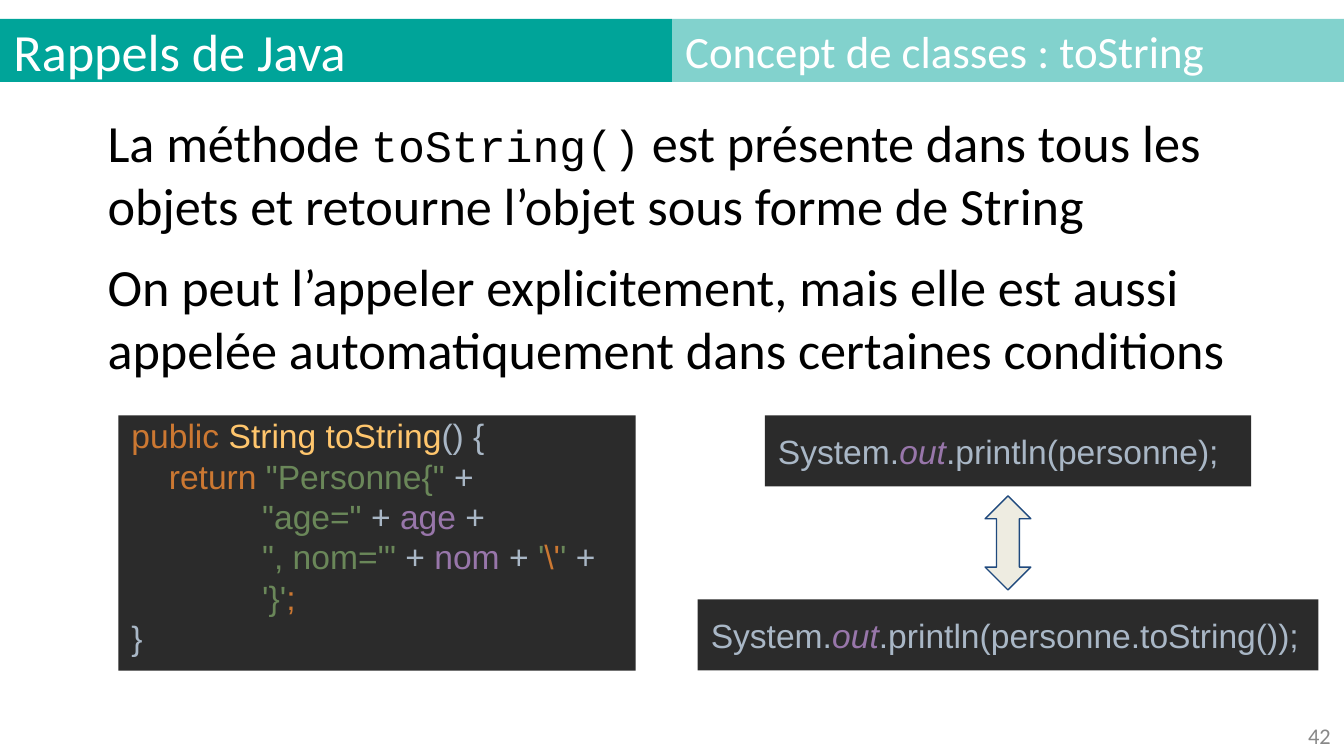
from lxml import etree
from pptx import Presentation
from pptx.dml.color import RGBColor
from pptx.enum.shapes import MSO_SHAPE as Shape
from pptx.enum.text import MSO_ANCHOR as Anchor, MSO_AUTO_SIZE as AutoSize, PP_ALIGN as Align
from pptx.oxml.ns import qn
from pptx.util import Inches, Pt

WIDTH = 10
HEIGHT = WIDTH * 9 / 16
HALF = WIDTH / 2
BAR_TOP, BAR_HEIGHT = 0.14, 0.47
CODE_TOP, CODE_HEIGHT, CALL_HEIGHT = 3.09, 1.9, 0.53
CALL_CENTER = 7.5

TEAL = RGBColor(0x00, 0xA4, 0x99)
WHITE = RGBColor(0xFF, 0xFF, 0xFF)
BLACK = RGBColor(0x00, 0x00, 0x00)
GREY = RGBColor(0x88, 0x88, 0x88)
CREAM = RGBColor(0xEE, 0xEC, 0xE1)
NAVY = RGBColor(0x1F, 0x49, 0x7D)

# Code editor colours
EDITOR = RGBColor(0x2B, 0x2B, 0x2B)
KEYWORD = RGBColor(0xCC, 0x78, 0x32)
NAME = RGBColor(0xFF, 0xC6, 0x6D)
PLAIN = RGBColor(0xA9, 0xB7, 0xC6)
STRING = RGBColor(0x6A, 0x87, 0x59)
FIELD = RGBColor(0x98, 0x76, 0xAA)

DEEP = " " * 14
METHOD = [
    [("public ", KEYWORD), ("String", NAME), (" ", PLAIN), ("toString", NAME), ("() {", PLAIN)],
    [("    ", PLAIN), ("return ", KEYWORD), ('"Personne{" ', STRING), ("+", PLAIN)],
    [(DEEP, PLAIN), ('"age=" ', STRING), ("+ ", PLAIN), ("age ", FIELD), ("+", PLAIN)],
    [(DEEP, PLAIN), ('", nom=\'" ', STRING), ("+ ", PLAIN), ("nom ", FIELD), ("+ ", PLAIN),
     ("'", STRING), ("\\'", KEYWORD), ("' ", STRING), ("+", PLAIN)],
    [(DEEP, PLAIN), ("'}'", STRING), (";", KEYWORD)],
    [("}", PLAIN)],
]


def place(box, left, top, width, height):
    box.left, box.top = Inches(left), Inches(top)
    box.width, box.height = Inches(width), Inches(height)


def prepare(box, anchor=Anchor.MIDDLE, inset=0.05):
    frame = box.text_frame
    frame.word_wrap = True
    frame.auto_size = AutoSize.NONE
    frame.vertical_anchor = anchor
    frame.margin_left = frame.margin_right = Inches(0.1)
    frame.margin_top = frame.margin_bottom = Inches(inset)
    return frame


def add_span(para, text, size=18, font="Calibri", color=BLACK, italic=False):
    span = para.add_run()
    span.text = text
    span.font.size, span.font.name = Pt(size), font
    span.font.color.rgb, span.font.italic = color, italic


def write_line(box, text, align=Align.LEFT, **style):
    para = prepare(box).paragraphs[0]
    para.alignment = align
    add_span(para, text, **style)


def fill_solid(box, color, alpha=None):
    box.fill.solid()
    box.fill.fore_color.rgb = color
    if alpha is not None:
        tint = box.fill._xPr.find(".//" + qn("a:srgbClr"))
        etree.SubElement(tint, qn("a:alpha")).set("val", str(alpha * 1000))


def add_block(page, kind, left, top, width, height, color, alpha=None):
    box = page.shapes.add_shape(kind, 0, 0, 0, 0)
    place(box, left, top, width, height)
    box.shadow.inherit = False
    box.line.fill.background()
    fill_solid(box, color, alpha)
    return box


def add_text_box(page, left, top, width, height):
    box = page.shapes.add_textbox(0, 0, 0, 0)
    place(box, left, top, width, height)
    return box


def add_code(page, lines, left, top, width, height, anchor=Anchor.MIDDLE):
    box = add_block(page, Shape.RECTANGLE, left, top, width, height, EDITOR)
    frame = prepare(box, anchor, inset=0)
    for number, line in enumerate(lines):
        para = frame.add_paragraph() if number else frame.paragraphs[0]
        para.alignment = Align.LEFT
        for text, color, *italic in line:
            add_span(para, text, font="Arial", color=color, italic=bool(italic))


def add_call(page, argument, top, width):
    line = [("System.", PLAIN), ("out", FIELD, True), (f".println({argument});", PLAIN)]
    add_code(page, [line], CALL_CENTER - width / 2, top, width, CALL_HEIGHT)


def add_header(page):
    title = page.shapes.title
    place(title, 0, BAR_TOP, HALF, BAR_HEIGHT)
    fill_solid(title, TEAL)
    write_line(title, "Rappels de Java", size=28, color=WHITE)
    topic = add_block(page, Shape.RECTANGLE, HALF, BAR_TOP, HALF, BAR_HEIGHT, TEAL, alpha=49)
    write_line(topic, "Concept de classes : toString", size=24, color=WHITE)


def add_explanation(page):
    frame = prepare(add_text_box(page, 0.2, 0.77, 9.61, 4.57), Anchor.TOP)
    frame.margin_left = Inches(0.6)
    first, second = frame.paragraphs[0], frame.add_paragraph()
    add_span(first, "La méthode ", size=28)
    add_span(first, "toString()", size=24, font="Courier New")
    add_span(first, " est présente dans tous les objets et retourne l’objet sous forme de String", size=28)
    second.space_before = Pt(10)
    add_span(second, "On peut l’appeler explicitement, mais elle est aussi appelée "
             "automatiquement dans certaines conditions", size=28)


def add_equivalence(page):
    add_call(page, "personne", CODE_TOP, 3.62)
    add_call(page, "personne.toString()", CODE_TOP + CODE_HEIGHT - CALL_HEIGHT, 4.62)
    arrow = add_block(page, Shape.UP_DOWN_ARROW, CALL_CENTER - 0.17, 3.69, 0.34, 0.7, CREAM)
    arrow.line.color.rgb = NAVY
    arrow.line.width = Pt(0.75)


def main():
    deck = Presentation()
    deck.slide_width, deck.slide_height = Inches(WIDTH), Inches(HEIGHT)
    page = deck.slides.add_slide(deck.slide_layouts[5])

    add_header(page)
    add_explanation(page)

    # Method on the left, two equivalent calls on the right
    add_code(page, METHOD, 0.88, CODE_TOP, 3.85, CODE_HEIGHT, Anchor.TOP)
    add_equivalence(page)

    # Page number
    number = add_text_box(page, WIDTH - 1.2, HEIGHT - 0.3, 1.2, 0.3)
    write_line(number, "42", align=Align.RIGHT, size=12, color=GREY)

    deck.save("out.pptx")


if __name__ == "__main__":
    main()
